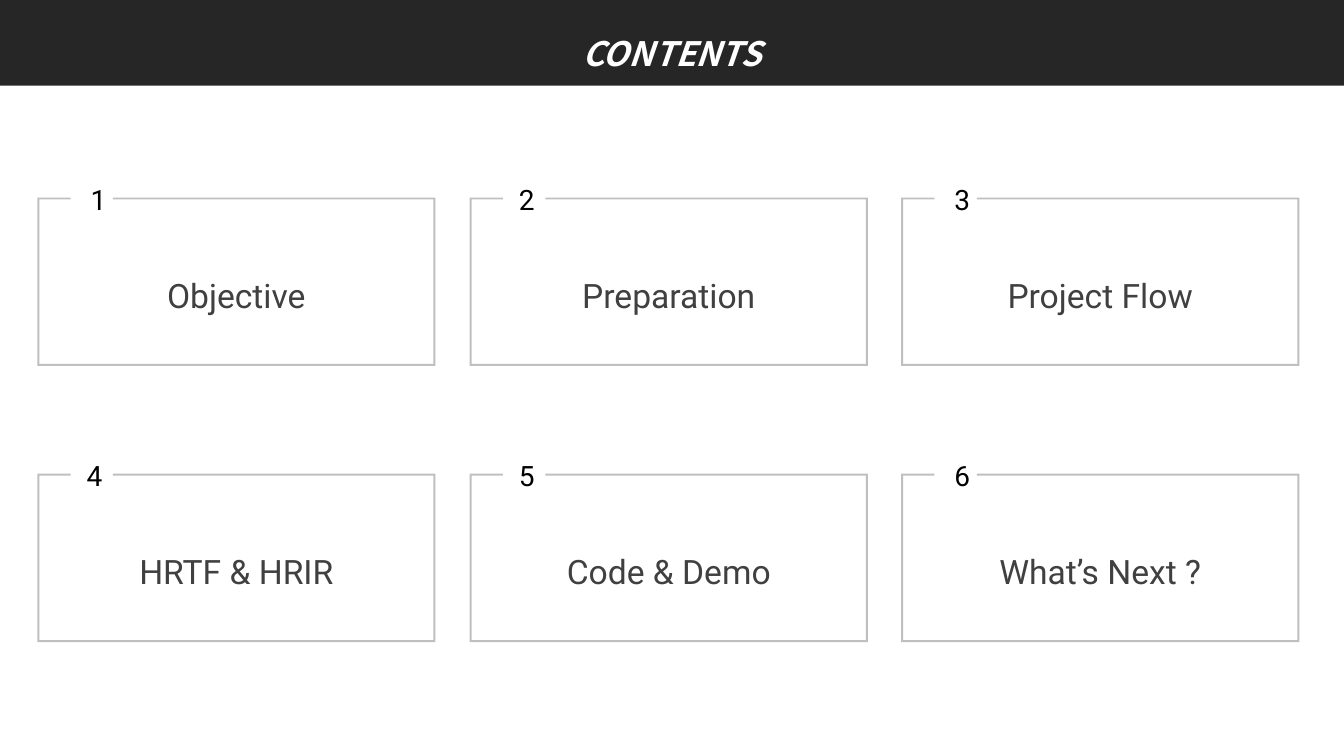
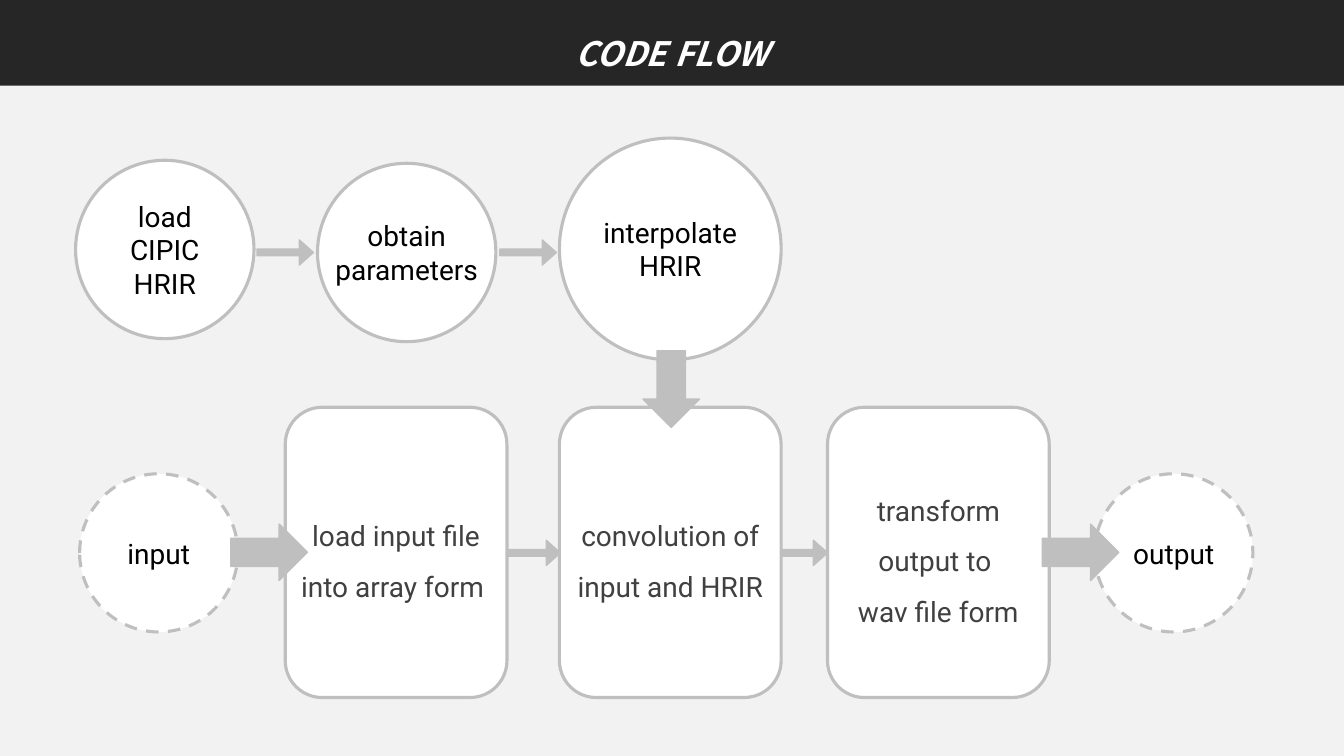
from pptx import Presentation
from pptx.dml.color import RGBColor
from pptx.enum.dml import MSO_LINE
from pptx.enum.shapes import MSO_SHAPE
from pptx.enum.text import MSO_ANCHOR, MSO_AUTO_SIZE, PP_ALIGN
from pptx.util import Emu, Pt

# 100 px to the inch
SCALE = 9144
SLIDE_WIDTH, SLIDE_HEIGHT = Emu(12192000), Emu(6858000)
TITLE_ONLY = 5

WHITE = RGBColor(0xFF, 0xFF, 0xFF)
BLACK = RGBColor(0x00, 0x00, 0x00)
CHARCOAL = RGBColor(0x26, 0x26, 0x26)
DARK_GREY = RGBColor(0x40, 0x40, 0x40)
GREY = RGBColor(0xBF, 0xBF, 0xBF)
PALE_GREY = RGBColor(0xF2, 0xF2, 0xF2)

TITLE_FONT = {"name": "Noto Sans CJK KR", "size": Pt(24), "bold": True, "italic": True}
CARD_FONT = {"name": "Roboto", "size": Pt(24)}
BODY_FONT = {"name": "Roboto", "size": Pt(20)}

BAND_HEIGHT = 85

# Contents grid: label and number offset of each card, row by row
CARD_LEFTS = (37, 466, 894)
CARD_TOPS = (196, 470)
CARD_WIDTH, CARD_HEIGHT = 395, 167
CARDS = (
    ("Objective", 43), ("Preparation", 39), ("Project Flow", 43),
    ("HRTF & HRIR", 39), ("Code & Demo", 39), ("What’s Next ?", 43),
)

# Code flow: text with left, top and diameter or left only
STEP_CIRCLES = (
    ("load\nCIPIC\nHRIR", 75, 159, 177),
    ("obtain\nparameters", 315, 162, 177),
    ("interpolate\nHRIR", 555, 137, 220),
)
END_CIRCLES = (("input", 79, 470, 157), ("output", 1086, 470, 157))
STEP_BOXES = (
    ("load input file into array form ", 283),
    ("convolution of input and HRIR", 555),
    ("transform output to \nwav file form", 821),
)


def px(*lengths):
    return [Emu(length * SCALE) for length in lengths]


def write_text(frame, text, font_values, color, spacing=1.0, align=PP_ALIGN.CENTER):
    frame.text = text
    for paragraph in frame.paragraphs:
        paragraph.alignment = align
        paragraph.line_spacing = spacing
        for name, value in font_values.items():
            setattr(paragraph.font, name, value)
        paragraph.font.color.rgb = color


def add_label(slide, box, text, font_values, color, **layout):
    frame = slide.shapes.add_textbox(*px(*box)).text_frame
    frame.word_wrap = True
    write_text(frame, text, font_values, color, **layout)


def add_figure(slide, kind, box, fill, line_width, dashed=False):
    shape = slide.shapes.add_shape(kind, *px(*box))
    shape.shadow.inherit = False
    shape.fill.solid()
    shape.fill.fore_color.rgb = fill
    shape.line.color.rgb = GREY
    shape.line.width = Pt(line_width)
    if dashed:
        shape.line.dash_style = MSO_LINE.DASH
    return shape


def add_step(slide, kind, box, text, color, spacing=1.0, wrap=True, dashed=False):
    shape = add_figure(slide, kind, box, WHITE, 2.25, dashed)
    frame = shape.text_frame
    frame_values = {
        "word_wrap": wrap, "vertical_anchor": MSO_ANCHOR.MIDDLE,
        "margin_left": 0, "margin_right": 0,
    }
    for name, value in frame_values.items():
        setattr(frame, name, value)
    write_text(frame, text, BODY_FONT, color, spacing)


def add_circle(slide, text, left, top, diameter, dashed=False):
    box = (left, top, diameter, diameter)
    add_step(slide, MSO_SHAPE.OVAL, box, text, BLACK, wrap=False, dashed=dashed)


def add_arrow(slide, box, kind=MSO_SHAPE.RIGHT_ARROW, thin=False):
    arrow = add_figure(slide, kind, box, GREY, 1)
    if thin:
        arrow.adjustments[0] = 0.26
        arrow.adjustments[1] = 0.56


def add_card(slide, left, top, number, label, number_offset):
    """Draw a thin frame whose top edge is open around the number."""
    edge = 2
    right, bottom = left + CARD_WIDTH, top + CARD_HEIGHT
    gap_left, gap_right = left + 33, left + 75
    builder = slide.shapes.build_freeform(left, top, scale=SCALE)
    builder.add_line_segments([
        (gap_left, top), (gap_left, top + edge),
        (left + edge, top + edge), (left + edge, bottom - edge),
        (right - edge, bottom - edge), (right - edge, top + edge),
        (gap_right, top + edge), (gap_right, top),
        (right, top), (right, bottom), (left, bottom),
    ])
    outline = builder.convert_to_shape()
    outline.shadow.inherit = False
    outline.fill.solid()
    outline.fill.fore_color.rgb = GREY
    outline.line.fill.background()
    add_label(slide, (left + 1, top + 52, CARD_WIDTH - 2, 62), label,
              CARD_FONT, DARK_GREY, spacing=1.5)
    add_label(slide, (left + number_offset, top - 20, 55, 44), str(number),
              BODY_FONT, BLACK, align=PP_ALIGN.LEFT)


def add_slide(presentation, title_text, background):
    """Add a slide with the dark title band."""
    slide = presentation.slides.add_slide(presentation.slide_layouts[TITLE_ONLY])
    slide.background.fill.solid()
    slide.background.fill.fore_color.rgb = background
    title = slide.shapes.title
    title.left, title.top = px(0, 0)
    title.width, title.height = SLIDE_WIDTH, px(BAND_HEIGHT)[0]
    title.fill.solid()
    title.fill.fore_color.rgb = CHARCOAL
    title.text_frame.auto_size = MSO_AUTO_SIZE.NONE
    title.text_frame.vertical_anchor = MSO_ANCHOR.MIDDLE
    write_text(title.text_frame, title_text, TITLE_FONT, WHITE, spacing=1.5)
    return slide


def build_contents(presentation):
    slide = add_slide(presentation, "CONTENTS", WHITE)
    for index, (label, number_offset) in enumerate(CARDS):
        row, column = divmod(index, len(CARD_LEFTS))
        add_card(slide, CARD_LEFTS[column], CARD_TOPS[row], index + 1,
                 label, number_offset)


def build_code_flow(presentation):
    slide = add_slide(presentation, "CODE FLOW", PALE_GREY)

    # Lower row: thin arrows lie behind the boxes, thick arrows in front
    for left in (480, 745):
        add_arrow(slide, (left, 536, 76, 25), thin=True)
    for text, left in STEP_BOXES:
        add_step(slide, MSO_SHAPE.ROUNDED_RECTANGLE, (left, 404, 220, 288),
                 text, DARK_GREY, spacing=1.5)
    for circle in END_CIRCLES:
        add_circle(slide, *circle, dashed=True)
    for left in (229, 1034):
        add_arrow(slide, (left, 520, 76, 56))

    # Upper row and the arrow leading down from it
    for circle in STEP_CIRCLES:
        add_circle(slide, *circle)
    for left in (255, 496):
        add_arrow(slide, (left, 238, 56, 25), thin=True)
    add_arrow(slide, (638, 348, 56, 76), kind=MSO_SHAPE.DOWN_ARROW)


def main():
    presentation = Presentation()
    presentation.slide_width = SLIDE_WIDTH
    presentation.slide_height = SLIDE_HEIGHT
    build_contents(presentation)
    build_code_flow(presentation)
    presentation.save("out.pptx")


if __name__ == "__main__":
    main()
